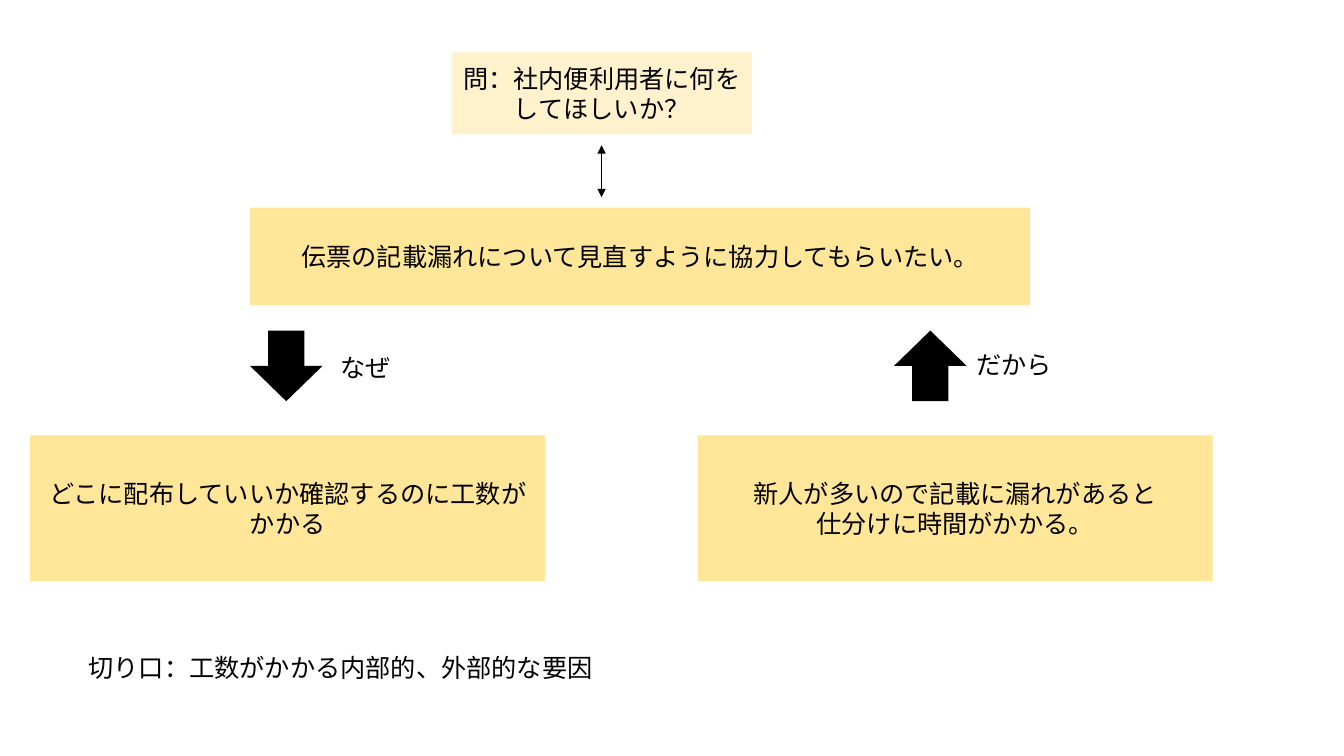
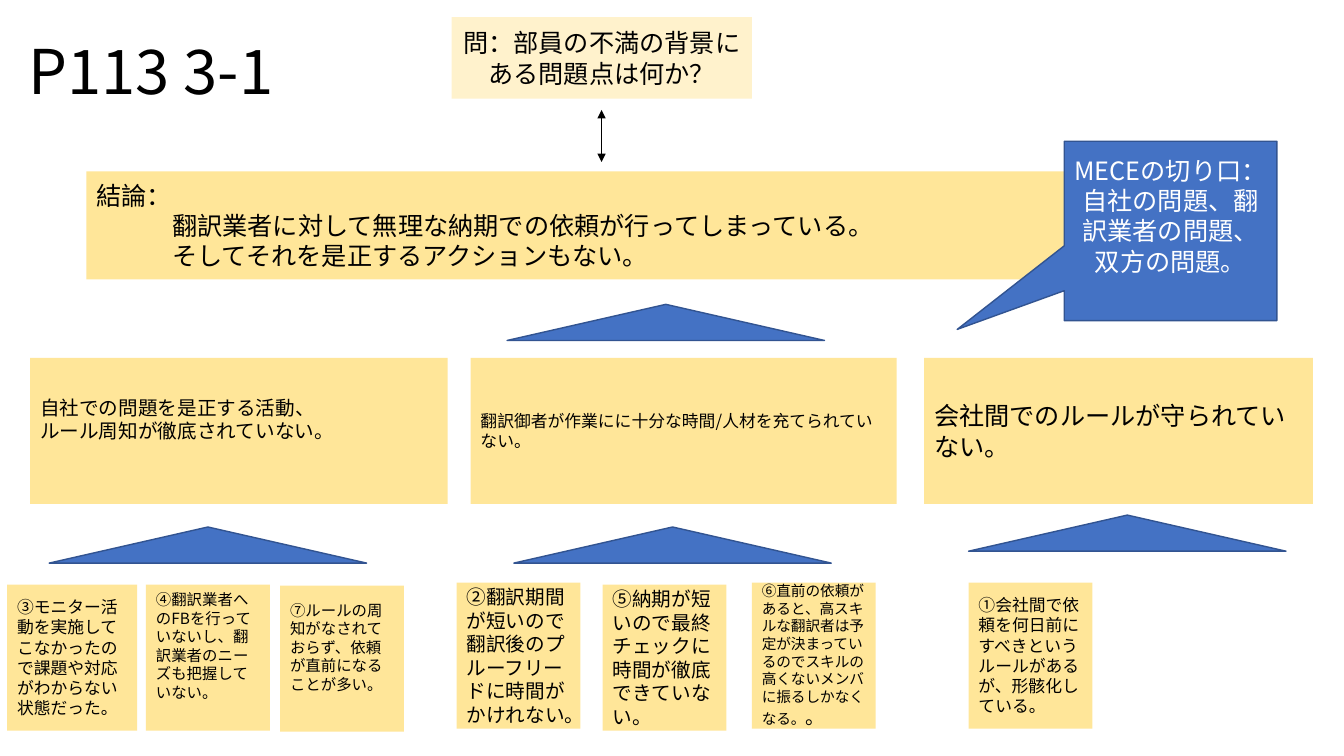
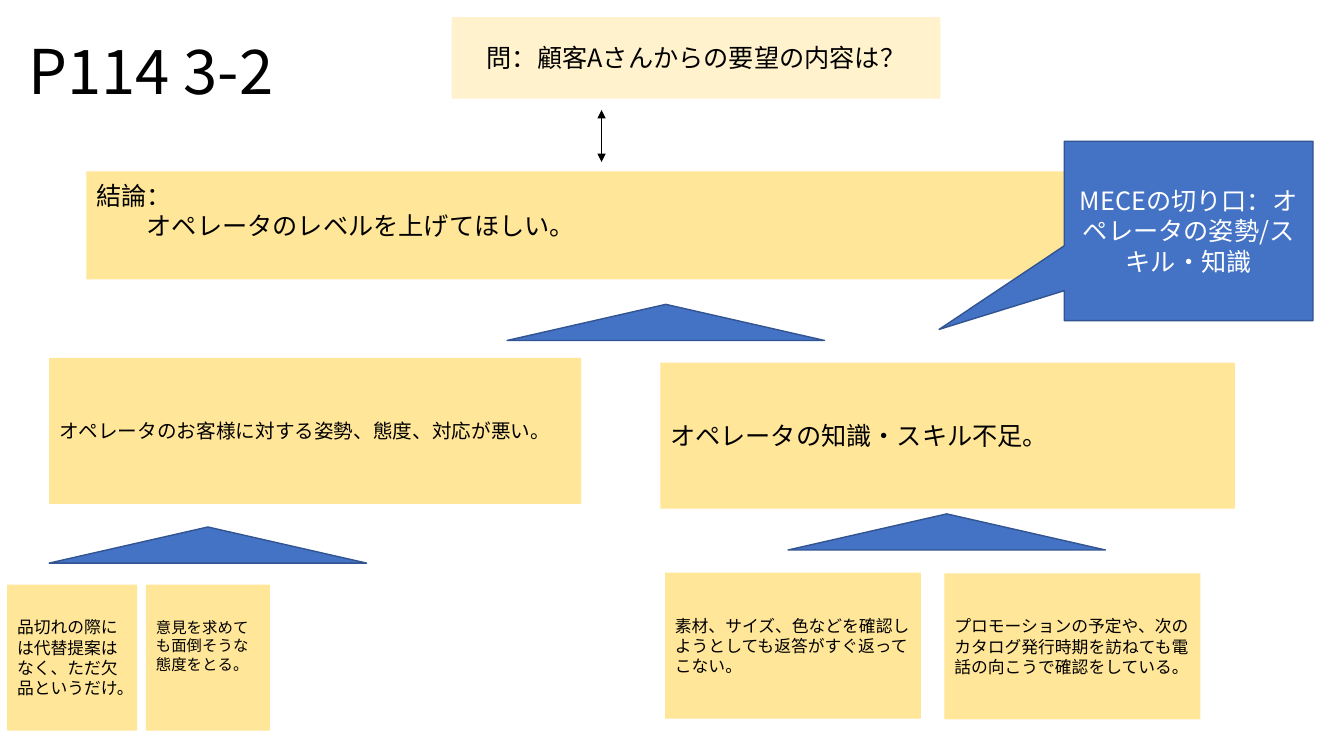
from dataclasses import dataclass
from lxml.etree import SubElement
from pptx import Presentation
from pptx.dml.color import RGBColor
from pptx.enum.shapes import MSO_CONNECTOR, MSO_SHAPE
from pptx.enum.text import MSO_ANCHOR, MSO_AUTO_SIZE, PP_ALIGN
from pptx.oxml.ns import qn
from pptx.util import Cm, Pt

FONT = "Noto Sans CJK JP"
COLORS = {
    "text": "000000",
    "light_text": "FFFFFF",
    "question": "FFF2CC",
    "statement": "FFE699",
    "accent": "4472C4",
    "accent_line": "325491",
}
INSET = 0.13
BLANK_14 = 0.59
BLANK_18 = 0.76
LEAF_WIDTH = 3.12
BOX_HEIGHT = 3.68


@dataclass
class Box:
    left: float
    top: float
    width: float
    height: float

    def lengths(self):
        return Cm(self.left), Cm(self.top), Cm(self.width), Cm(self.height)

    def inner(self, across, down, width, height):
        return Box(self.left + across, self.top + down, width, height)


@dataclass
class Leaf:
    across: float
    down: float
    text: str
    size: float = 12
    width: float = LEAF_WIDTH
    gap: float = 0
    ending: str = ""


def color(name):
    return RGBColor.from_string(COLORS[name])


def add_span(para, text, size, ink):
    span = para.add_run()
    span.text = text
    span.font.size = Pt(size)
    span.font.name = FONT
    span.font.color.rgb = color(ink)
    SubElement(span.font._element, qn("a:ea")).set("typeface", FONT)


def write(frame, text, size=18, ink="text", align=PP_ALIGN.LEFT,
          anchor=MSO_ANCHOR.MIDDLE, indent=0, gap=0, spacing=None, ending=""):
    frame.word_wrap = True
    frame.auto_size = MSO_AUTO_SIZE.NONE
    frame.vertical_anchor = anchor
    frame.margin_bottom = Cm(INSET + gap)
    para = frame.paragraphs[0]
    for number, line in enumerate(text.split("\n")):
        if number:
            para = frame.add_paragraph()
            if indent:
                para._p.get_or_add_pPr().set("marL", str(Cm(indent)))
        para.alignment = align
        para.line_spacing = spacing
        add_span(para, line, size, ink)
    if ending:
        add_span(para, ending, 14, ink)


def add_figure(page, kind, box, fill, line=None):
    figure = page.shapes.add_shape(kind, *box.lengths())
    figure.shadow.inherit = False
    figure.fill.solid()
    figure.fill.fore_color.rgb = color(fill)
    if line:
        figure.line.color.rgb = color(line)
        figure.line.width = Pt(1)
    else:
        figure.line.fill.background()
    return figure


def add_statement(page, box, text, fill="statement", **style):
    panel = add_figure(page, MSO_SHAPE.RECTANGLE, box, fill)
    write(panel.text_frame, text, **style)


def add_label(page, box, text):
    label = page.shapes.add_textbox(*box.lengths())
    write(label.text_frame, text, anchor=MSO_ANCHOR.TOP)


def add_question(page, box, text):
    add_statement(page, box, text, fill="question", align=PP_ALIGN.CENTER)
    middle = Cm(box.left + 3.78)
    start = box.top + box.height + 0.28
    arrow = page.shapes.add_connector(
        MSO_CONNECTOR.STRAIGHT, middle, Cm(start), middle, Cm(start + 1.31))
    arrow.line.color.rgb = color("text")
    arrow.line.width = Pt(0.5)
    outline = arrow.line._get_or_add_ln()
    for end in ("a:headEnd", "a:tailEnd"):
        SubElement(outline, qn(end)).set("type", "triangle")
    SubElement(arrow._element.spPr, qn("a:effectLst"))


def add_title(page, box, text):
    title = page.shapes.title
    title.left, title.top, title.width, title.height = box.lengths()
    write(title.text_frame, text, size=44, spacing=0.9)


def add_roof(page, box):
    add_figure(page, MSO_SHAPE.ISOSCELES_TRIANGLE, box, "accent", "accent_line")


def add_callout(page, box, text, gap=0):
    callout = add_figure(page, MSO_SHAPE.RECTANGULAR_CALLOUT, box, "accent", "accent_line")
    callout.adjustments[0] = -1.003
    callout.adjustments[1] = 0.549
    write(callout.text_frame, text, ink="light_text", align=PP_ALIGN.CENTER, gap=gap)


def add_branch(page, box, text, roof, leaves, size=18, gap=0):
    add_statement(page, box, text, size=size, gap=gap)
    add_roof(page, box.inner(*roof, 8, 0.91))
    for leaf in leaves:
        place = box.inner(leaf.across, leaf.down, leaf.width, BOX_HEIGHT)
        add_statement(page, place, leaf.text, size=leaf.size, gap=leaf.gap,
                      ending=leaf.ending)


def add_reason(page, box, text, arrow_across, turn, label, label_box):
    arrow = add_figure(page, MSO_SHAPE.DOWN_ARROW,
                       box.inner(arrow_across, -2.64, 1.83, 1.78), "text")
    arrow.rotation = turn
    add_label(page, label_box, label)
    add_statement(page, box, text, align=PP_ALIGN.CENTER)


def build_argument_page(deck):
    page = deck.slides.add_slide(deck.slide_layouts[6])
    add_question(page, Box(11.38, 1.32, 7.57, 2.06), "問：社内便利用者に何をしてほしいか？")
    add_statement(page, Box(6.3, 5.23, 19.66, 2.46),
                  "伝票の記載漏れについて見直すように協力してもらいたい。",
                  align=PP_ALIGN.CENTER)
    add_reason(page, Box(0.76, 10.97, 12.98, BOX_HEIGHT),
               "どこに配布していいか確認するのに工数がかかる",
               5.54, 0, "なぜ", Box(8.33, 8.76, 1.83, 1.02))
    add_reason(page, Box(17.58, 10.97, 12.98, BOX_HEIGHT),
               "新人が多いので記載に漏れがあると\n仕分けに時間がかかる。",
               4.95, 180, "だから", Box(24.36, 8.69, 4.11, 1.02))
    add_label(page, Box(1.98, 16.31, 18.8, 1.02), "切り口：工数がかかる内部的、外部的な要因")


def build_pyramid_page(deck, title, question, question_width, conclusion,
                       conclusion_style, callout, callout_width, callout_gap, branches):
    page = deck.slides.add_slide(deck.slide_layouts[5])
    add_title(page, Box(0.46, 0.05, 8.79, BOX_HEIGHT), title)
    add_question(page, Box(11.38, 0.43, question_width, 2.06), question)
    add_statement(page, Box(2.18, 4.32, 28.96, 2.72), conclusion, **conclusion_style)
    add_roof(page, Box(12.78, 7.67, 8, 0.91))
    for branch in branches:
        add_branch(page, **branch)
    add_callout(page, Box(26.82, 3.56, callout_width, 4.52), callout, callout_gap)


TRANSLATION_BRANCHES = [
    dict(box=Box(0.76, 9.02, 10.52, BOX_HEIGHT), size=14, gap=BLANK_14, roof=(0.48, 4.26),
         text="自社での問題を是正する活動、\nルール周知が徹底されていない。",
         leaves=[
             Leaf(-0.58, 5.71, "③モニター活動を実施してこなかったので課題や対応がわからない状態だった。",
                  width=3.28),
             Leaf(2.92, 5.71, "④翻訳業者へのFBを行っていないし、翻訳業者のニーズも把握していない。",
                  size=11, gap=BLANK_14),
             Leaf(6.3, 5.74, "⑦ルールの周知がなされておらず、依頼が直前になることが多い。",
                  size=11, gap=BLANK_14),
         ]),
    dict(box=Box(11.86, 9.02, 10.74, BOX_HEIGHT), size=12, roof=(1.09, 4.26),
         text="翻訳御者が作業にに十分な時間/人材を充てられていない。",
         leaves=[
             Leaf(-0.35, 5.66, "②翻訳期間が短いので翻訳後のプルーフリードに時間がかけれない。", size=14),
             Leaf(3.33, 5.71, "⑤納期が短いので最終チェックに時間が徹底できていない。", size=14),
             Leaf(7.09, 5.66,
                  "⑥直前の依頼があると、高スキルな翻訳者は予定が決まっているので"
                  "スキルの高くないメンバに振るしかなくなる。", size=10.5, ending="。"),
         ]),
    dict(box=Box(23.29, 9.02, 9.8, BOX_HEIGHT), roof=(1.12, 3.96),
         text="会社間でのルールが守られていない。",
         leaves=[
             Leaf(1.12, 5.66, "①会社間で依頼を何日前にすべきというルールがあるが、形骸化している。"),
         ]),
]

OPERATOR_BRANCHES = [
    dict(box=Box(1.24, 9.02, 13.41, BOX_HEIGHT), size=14, roof=(0, 4.26),
         text="オペレータのお客様に対する姿勢、態度、対応が悪い。",
         leaves=[
             Leaf(-1.06, 5.71, "品切れの際には代替提案はなく、ただ欠品というだけ。", width=3.28),
             Leaf(2.44, 5.71, "意見を求めても面倒そうな態度をとる。", size=11, gap=BLANK_14),
         ]),
    dict(box=Box(16.64, 9.14, 14.48, BOX_HEIGHT), roof=(3.22, 3.81),
         text="オペレータの知識・スキル不足。",
         leaves=[
             Leaf(0.12, 5.29, "素材、サイズ、色などを確認しようとしても返答がすぐ返ってこない。",
                  width=6.45),
             Leaf(7.16, 5.31,
                  "プロモーションの予定や、次のカタログ発行時期を訪ねても電話の向こうで確認をしている。",
                  width=6.45),
         ]),
]

deck = Presentation()
deck.slide_width = Cm(33.87)
deck.slide_height = Cm(19.05)

build_argument_page(deck)
build_pyramid_page(
    deck, title="P113 3-1",
    question="問：部員の不満の背景にある問題点は何か？", question_width=7.57,
    conclusion="結論：\n翻訳業者に対して無理な納期での依頼が行ってしまっている。\n"
               "そしてそれを是正するアクションもない。",
    conclusion_style=dict(indent=1.91),
    callout="MECEの切り口：自社の問題、翻訳業者の問題、双方の問題。",
    callout_width=5.36, callout_gap=BLANK_18, branches=TRANSLATION_BRANCHES)
build_pyramid_page(
    deck, title="P114 3-2",
    question="問：顧客Aさんからの要望の内容は？", question_width=12.32,
    conclusion="結論：\nオペレータのレベルを上げてほしい。",
    conclusion_style=dict(indent=1.27, gap=BLANK_18),
    callout="MECEの切り口：オペレータの姿勢/スキル・知識",
    callout_width=6.27, callout_gap=0, branches=OPERATOR_BRANCHES)

deck.save("out.pptx")
